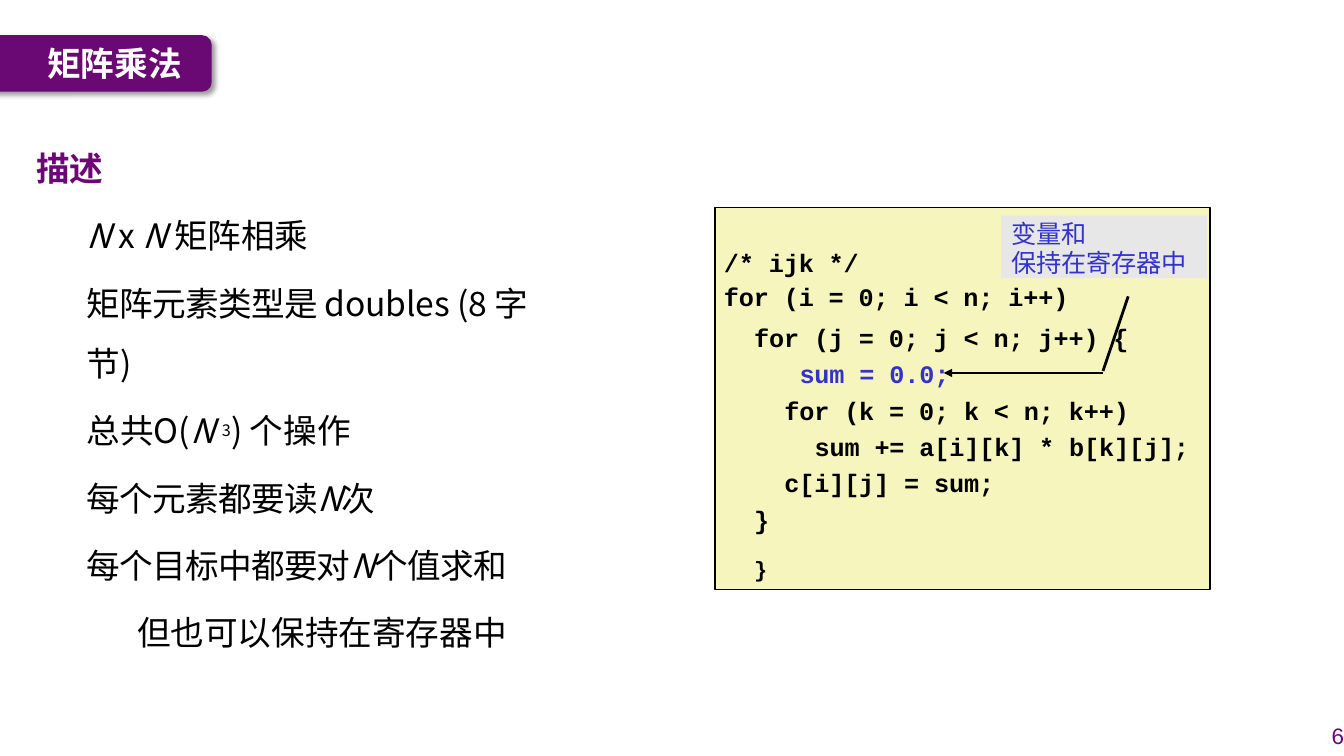
from lxml import etree
from pptx import Presentation
from pptx.dml.color import RGBColor
from pptx.enum.shapes import MSO_CONNECTOR as Conn, MSO_SHAPE as Kind
from pptx.enum.text import MSO_ANCHOR as Anchor, PP_ALIGN as Align
from pptx.oxml import parse_xml
from pptx.oxml.ns import nsdecls, qn
from pptx.util import Inches, Pt

SANS, MONO, ARIAL = "Noto Sans CJK SC", "Courier New", "Arial"
PURPLE, BLUE, BLACK, WHITE = "6A0874", "3333CC", "000000", "FFFFFF"


def color(code):
    return RGBColor.from_string(code)


def add_run(para, text, size, face, ink, bold=False, ital=False, space=0, base=0):
    run = para.add_run()
    run.text = text
    font = run.font
    font.size, font.name = Pt(size), face
    font.bold, font.italic = bold, ital
    font.color.rgb = color(ink)
    props = run._r.get_or_add_rPr()
    for tag in ("a:ea", "a:cs"):
        etree.SubElement(props, qn(tag)).set("typeface", face)
    if space:
        props.set("spc", str(round(space * 100)))
    if base:
        props.set("baseline", str(base * 1000))


def add_para(frame, left=0, lead=1.0, before=0, level=0):
    first = frame.paragraphs[0]
    para = frame.add_paragraph() if first.runs else first
    para.level = level
    para.line_spacing = lead
    para.space_before = Pt(before)
    props = para._p.get_or_add_pPr()
    props.set("marL", str(Inches(left)))
    props.set("indent", "0")
    return para


def set_frame(shape, pad=(0, 0, 0, 0), anchor=Anchor.TOP):
    frame = shape.text_frame
    frame.word_wrap = True
    frame.vertical_anchor = anchor
    (frame.margin_left, frame.margin_top,
     frame.margin_right, frame.margin_bottom) = map(Inches, pad)
    return frame


def add_text(slide, box, **opts):
    return set_frame(slide.shapes.add_textbox(*map(Inches, box)), **opts)


def add_block(slide, kind, box, fill, line=None):
    shape = slide.shapes.add_shape(kind, *map(Inches, box))
    shape.shadow.inherit = False
    shape.fill.solid()
    shape.fill.fore_color.rgb = color(fill)
    if line:
        shape.line.color.rgb = color(line)
        shape.line.width = Pt(1)
    else:
        shape.line.fill.background()
    return shape


def add_line(slide, ends, arrow=False):
    line = slide.shapes.add_connector(Conn.STRAIGHT, *map(Inches, ends))
    line.line.color.rgb = color(BLACK)
    line.line.width = Pt(2)
    if arrow:
        tip = etree.SubElement(line.line._get_or_add_ln(), qn("a:tailEnd"))
        tip.set("type", "triangle")
    etree.SubElement(line._element.spPr, qn("a:effectLst"))


def add_title(slide):
    tab = add_block(slide, Kind.ROUNDED_RECTANGLE, (-0.2, 0.35, 2.3, 0.56), PURPLE)
    props = tab._element.spPr
    props.replace(props.find(qn("a:effectLst")), parse_xml(
        f'<a:effectLst {nsdecls("a")}><a:outerShdw blurRad="{Pt(4)}" dist="{Pt(3)}" '
        'dir="2700000" algn="tl" rotWithShape="0"><a:srgbClr val="000000">'
        '<a:alpha val="40000"/></a:srgbClr></a:outerShdw></a:effectLst>'))
    frame = add_text(slide, (0.37, 0.35, 1.61, 0.55),
                     pad=(0.1, 0.05, 0.1, 0.05), anchor=Anchor.MIDDLE)
    add_run(add_para(frame), "矩阵乘法", 24, SANS, WHITE, bold=True)


def add_page(slide):
    frame = add_text(slide, (12.78, 7.1, 0.55, 0.4),
                     pad=(0.1, 0.05, 0, 0.05), anchor=Anchor.MIDDLE)
    para = add_para(frame)
    para.alignment = Align.RIGHT
    add_run(para, "6", 16, ARIAL, PURPLE)


def add_points(slide):
    ital, sup = {"ital": True}, {"size": 20, "base": 26}
    tight, close = {"space": -0.5}, {"space": -0.1}
    points = [
        (1, [("N ", ital), ("x ", {}), ("N ", ital), ("矩阵相乘", close)]),
        (1, [("矩阵元素类型是 ", tight), ("doubles ", close), ("(8 字节)", {})]),
        (1, [("总共O(", {}), ("N ", ital), ("3", sup), (") 个操作", {})]),
        (1, [("每个元素都要读", tight), ("N", ital), ("次", tight)]),
        (1, [("每个目标中都要对", tight), ("N", ital), ("个值求和", tight)]),
        (2, [("但也可以保持在寄存器中", {})]),
    ]
    frame = add_text(slide, (0.35, 1.27, 5.3, 4.59))
    add_run(add_para(frame, 0.01, 1.5), "描述", 24, SANS, "6B0874", bold=True, space=-0.1)
    for level, runs in points:
        para = add_para(frame, level * 0.5 + 0.01, 1.5, 4.8, level)
        for text, style in runs:
            add_run(para, text, **{"size": 24, "face": SANS, "ink": BLACK, **style})


def add_code(slide, box, rows):
    frame = add_text(slide, box)
    for text, left, lead, before, style in rows:
        para = add_para(frame, left, lead, before)
        add_run(para, text, **{"size": 18, "face": MONO, "ink": BLACK,
                               "bold": True, "space": -0.1, **style})


def add_note(slide):
    note = add_block(slide, Kind.RECTANGLE, (9.93, 2.14, 2.04, 0.62), "E7E7E7")
    para = add_para(set_frame(note, pad=(0, 0.03, 0, 0)), 0.1)
    para.alignment = Align.LEFT
    add_run(para, "变量和", 18, SANS, BLUE, space=-0.1)
    frame = add_text(slide, (10, 2.49, 1.83, 0.27))
    add_run(add_para(frame, 0.03, Pt(19)), "保持在寄存器中", 18, SANS, BLUE, space=-0.1)


def main():
    deck = Presentation()
    deck.slide_width, deck.slide_height = Inches(13.33), Inches(7.5)
    slide = deck.slides.add_slide(deck.slide_layouts[6])
    add_title(slide)
    add_page(slide)
    add_points(slide)
    add_block(slide, Kind.RECTANGLE, (7.09, 2.06, 4.91, 3.79), "F6F5BD", BLACK)
    add_code(slide, (7.18, 2.45, 3.61, 0.65), [
        ("/* ijk */", 0, 1.0, 0, {}),
        ("for (i = 0; i < n; i++)", 0, 1.0, 3.2, {}),
    ])
    add_code(slide, (7.18, 3.15, 5.23, 2.59), [
        ("for (j = 0; j < n; j++) {", 0.3, 1.15, 0, {}),
        ("sum = 0.0;", 0.75, 1.15, 1.2, {"ink": BLUE}),
        ("for (k = 0; k < n; k++)", 0.6, 1.15, 1.2, {}),
        ("sum += a[i][k] * b[k][j];", 0.9, 1.15, 1.2, {}),
        ("c[i][j] = sum;", 0.6, 1.15, 1.2, {}),
        ("}", 0.3, 1.15, 1.2, {}),
        ("}", 0.3, 1.0, 4.3, {"size": 27, "base": 3}),
    ])
    add_note(slide)
    add_line(slide, (10.94, 3.7, 9.36, 3.7), arrow=True)
    add_line(slide, (11.19, 2.94, 10.94, 3.68))
    deck.save("out.pptx")


if __name__ == "__main__":
    main()
